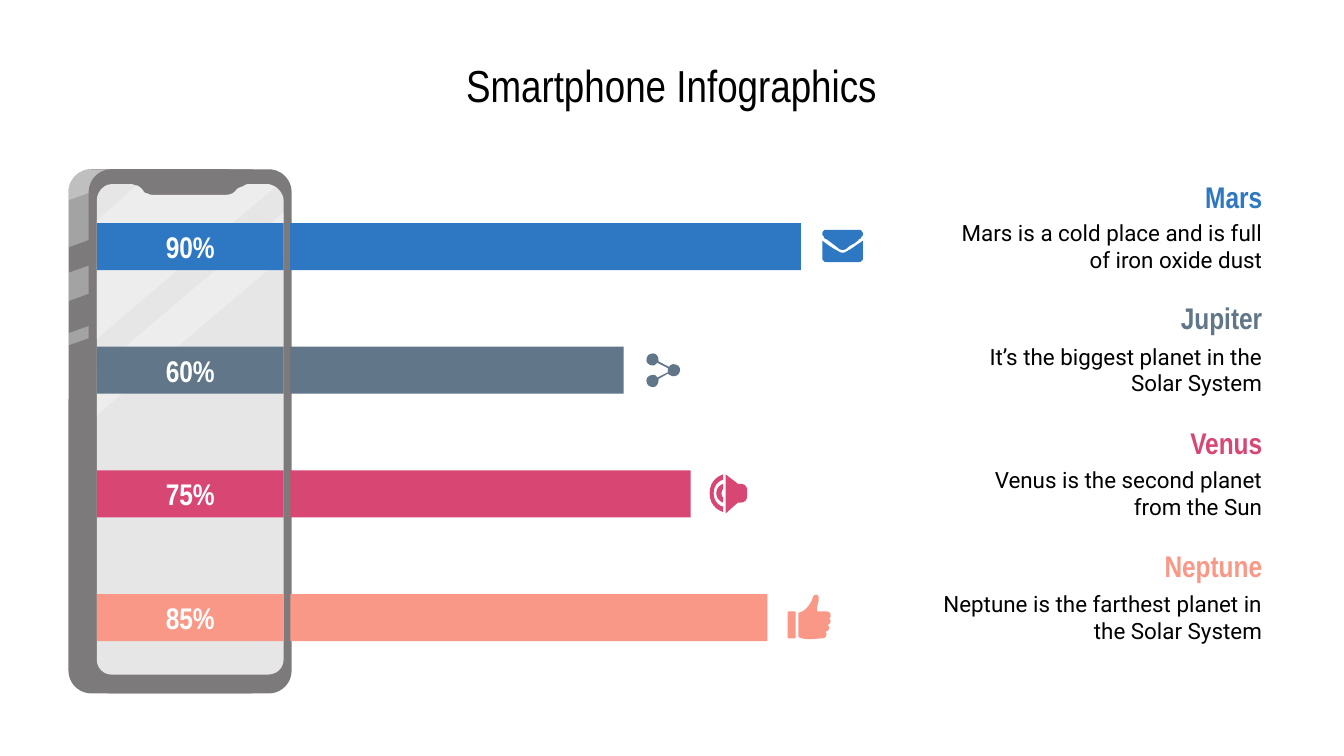
import pptx
import pptx.dml.color
import pptx.enum.shapes
import pptx.enum.text
import pptx.oxml.ns
import pptx.util
from lxml import etree

Inches = pptx.util.Inches
PRESET = pptx.enum.shapes.MSO_SHAPE
ALIGN = pptx.enum.text.PP_ALIGN
COLORS = {
    "mars": "2E77C3", "jupiter": "617688", "venus": "D84774", "neptune": "FA9887",
    "frame": "7C7A7B", "screen": "E6E6E6", "white": "FFFFFF", "black": "000000",
}
CURVE_STEPS = 6

deck = pptx.Presentation()
deck.slide_width = Inches(10)
deck.slide_height = Inches(10 * 9 / 16)
slide = deck.slides.add_slide(deck.slide_layouts[5])
shapes = slide.shapes


def write(frame, text, size=16, font="Arial Narrow", color="black", bold=False,
          align=ALIGN.CENTER, left_inset=0.1):
    frame.word_wrap = True
    frame.auto_size = pptx.enum.text.MSO_AUTO_SIZE.NONE
    frame.vertical_anchor = pptx.enum.text.MSO_ANCHOR.MIDDLE
    frame.margin_left = Inches(left_inset)
    frame.margin_right = frame.margin_top = frame.margin_bottom = Inches(0.1)
    paragraph = frame.paragraphs[0]
    paragraph.alignment = align
    run = paragraph.add_run()
    run.text = text
    run.font.size = pptx.util.Pt(size)
    run.font.name = font
    run.font.bold = bold
    run.font.color.rgb = pptx.dml.color.RGBColor.from_string(COLORS[color])


def outline(drawing):
    """Draw M, L and C commands given in hundredths of an inch."""
    builder = None
    for contour in drawing.split("M")[1:]:
        points = []
        for segment in ("L" + contour).replace("L", "|L").replace("C", "|C").split("|")[1:]:
            numbers = [int(number) for number in segment[1:].split()]
            pairs = list(zip(numbers[::2], numbers[1::2]))
            if segment[0] == "L":
                points += pairs
                continue
            for first in range(0, len(pairs), 3):
                start, (a, b, end) = points[-1], pairs[first:first + 3]
                for step in range(1, CURVE_STEPS + 1):
                    t = step / CURVE_STEPS
                    u = 1 - t
                    points.append(tuple(
                        u**3 * start[k] + 3 * u * u * t * a[k] + 3 * u * t * t * b[k] + t**3 * end[k]
                        for k in (0, 1)))
        corners = [(Inches(x / 100), Inches(y / 100)) for x, y in points]
        if builder is None:
            builder = shapes.build_freeform(*corners[0])
        else:
            builder.move_to(*corners[0])
        builder.add_line_segments(corners[1:], close=True)
    return builder.convert_to_shape()


title = shapes.title
title.left, title.top, title.width, title.height = map(Inches, (2.32, 0.42, 5.35, 0.42))
write(title.text_frame, "Smartphone Infographics", size=24)

painted = []

side_shine = [
    "M 68 126 C 59 126 51 133 51 143 L 51 184 106 164 92 126",
    "M 68 126 C 59 126 51 133 51 143 L 51 149 102 131 100 126",
    "M 99 186 L 51 203 51 224 106 204",
    "M 99 231 L 51 248 51 257 102 239",
]
screen = (
    "M 211 149 L 211 491 C 211 497 206 502 199 502 L 83 502 C 77 502 72 497 72 491"
    " L 72 149 C 72 143 77 137 83 137 L 98 137 C 99 137 100 138 102 138"
    " 104 139 105 140 106 141 107 143 108 144 110 144 111 145 113 145 115 145"
    " L 168 145 C 171 145 174 144 176 141 177 140 179 139 180 139 182 138 183 137 185 137"
    " L 199 137 C 201 137 203 138 205 139 208 141 211 145 211 149")
screen_shine = [
    "M 185 137 C 183 137 182 138 180 139 179 139 177 140 176 141 174 144 171 145 168 145"
    " L 115 145 C 113 145 111 145 110 144 108 144 107 143 106 141 105 140 104 139 102 138"
    " L 72 164 72 252 205 139 C 203 138 201 137 199 137",
    "M 211 158 L 72 276 72 309 211 191",
]
phone = [
    (0.51, [(shine, "white", 31) for shine in side_shine]),
    (0.66, [(screen, "screen", 100)] + [(shine, "white", 31) for shine in screen_shine]),
]
for left, details in phone:
    body = shapes.add_shape(PRESET.ROUNDED_RECTANGLE, Inches(left), Inches(1.26), Inches(1.51), Inches(3.9))
    body.adjustments[0] = 0.17 / 1.51
    painted.append((body, "frame", 100))
    painted += [(outline(drawing), color, opacity) for drawing, color, opacity in details]

envelope = [
    "M 639 171 C 640 171 641 171 641 172 642 173 642 173 642 174 642 175 642 176 641 176"
    " 641 177 640 178 639 178 639 179 638 179 636 181 634 182 632 183 631 184"
    " 630 185 629 186 627 186 625 186 624 185 623 184 622 183 619 181 615 178"
    " 614 178 613 177 613 176 612 175 612 175 612 174 612 173 612 172 613 172 613 171 614 171 615 171",
    "M 642 179 L 642 192 C 642 193 642 194 641 194 641 195 640 195 639 195 L 615 195"
    " C 614 195 613 195 613 194 612 194 612 193 612 192 L 612 179 C 612 179 613 180 613 180"
    " 617 183 620 185 622 186 623 186 623 187 624 187 625 188 626 188 627 188"
    " 628 188 629 188 630 187 631 187 631 186 632 186 634 185 636 183 641 180 641 180 642 179 642 179",
]
share = [
    "M 486 279 C 487 279 488 279 489 281 L 497 277 C 497 276 497 275 497 274 L 489 270"
    " C 488 271 487 272 486 272 483 272 481 270 481 268 481 265 483 263 486 263"
    " 488 263 490 265 490 268 490 268 490 268 490 269 L 498 273 C 498 272 500 271 501 271"
    " 504 271 506 273 506 275 506 278 504 280 501 280 500 280 498 279 497 278 L 490 282"
    " C 490 282 490 283 490 283 490 286 488 288 486 288 483 288 481 286 481 283 481 281 483 279 486 279",
]
loudspeaker = [
    "M 538 360 L 538 364 C 537 365 537 366 537 367 537 368 537 370 538 370 L 538 374"
    " C 535 373 533 370 533 367 533 364 535 361 538 360"
    " M 538 353 L 538 357 C 534 358 531 362 531 367 531 372 534 376 538 377 L 538 381"
    " C 532 379 528 374 528 367 528 360 532 355 538 353"
    " M 540 353 L 549 360 551 360 C 554 360 556 362 556 365 L 556 369"
    " C 556 372 554 374 551 374 L 549 374 540 382",
]
thumb = [
    "M 587 455 L 591 455 C 592 455 592 455 592 456 L 592 474 C 592 475 592 475 591 475"
    " L 587 475 C 587 475 586 475 586 474 L 586 456 C 586 455 587 455 587 455",
    "M 614 470 C 615 471 615 471 615 472 615 474 613 475 612 475 606 475 601 477 594 474"
    " L 594 456 C 600 455 604 448 605 444 607 441 609 443 609 444 610 448 607 451 608 455"
    " L 615 455 C 617 455 618 456 618 458 618 459 618 460 617 460 617 461 618 461 618 462"
    " 618 464 617 465 615 465 616 465 617 466 617 467 617 469 615 470 614 470",
]
planets = [
    ("Mars", "90%", 5.96, 1.29, envelope, "Mars is a cold place and is full of iron oxide dust"),
    ("Jupiter", "60%", 4.64, 2.19, share, "It’s the biggest planet in the Solar System"),
    ("Venus", "75%", 5.14, 3.12, loudspeaker, "Venus is the second planet from the Sun"),
    ("Neptune", "85%", 5.71, 4.03, thumb, "Neptune is the farthest planet in the Solar System"),
]
for row, (planet, percent, bar_end, heading_top, icon, fact) in enumerate(planets):
    color = planet.lower()
    bar_top = 1.66 + 0.92 * row
    for left, right in ((2.16, bar_end), (0.72, 2.11)):
        bar = shapes.add_shape(PRESET.RECTANGLE, Inches(left), Inches(bar_top), Inches(right - left), Inches(0.35))
        painted.append((bar, color, 100))
    write(bar.text_frame, percent, color="white", bold=True)
    painted += [(outline(drawing), color, 100) for drawing in icon]

    heading = shapes.add_textbox(Inches(8.1), Inches(heading_top), Inches(1.39), Inches(0.35))
    write(heading.text_frame, planet, color=color, bold=True, align=ALIGN.RIGHT)
    description = shapes.add_textbox(Inches(7.01), Inches(bar_top - 0.13), Inches(2.48), Inches(0.6))
    write(description.text_frame, fact, size=12, font="Roboto", align=ALIGN.RIGHT, left_inset=0)

for shape, color, opacity in painted:
    shape.shadow.inherit = False
    shape.line.fill.background()
    shape.fill.solid()
    shape.fill.fore_color.rgb = pptx.dml.color.RGBColor.from_string(COLORS[color])
    if opacity < 100:
        tint = shape.element.spPr.find(".//" + pptx.oxml.ns.qn("a:srgbClr"))
        etree.SubElement(tint, pptx.oxml.ns.qn("a:alpha"), val=str(opacity * 1000))

deck.save("out.pptx")
